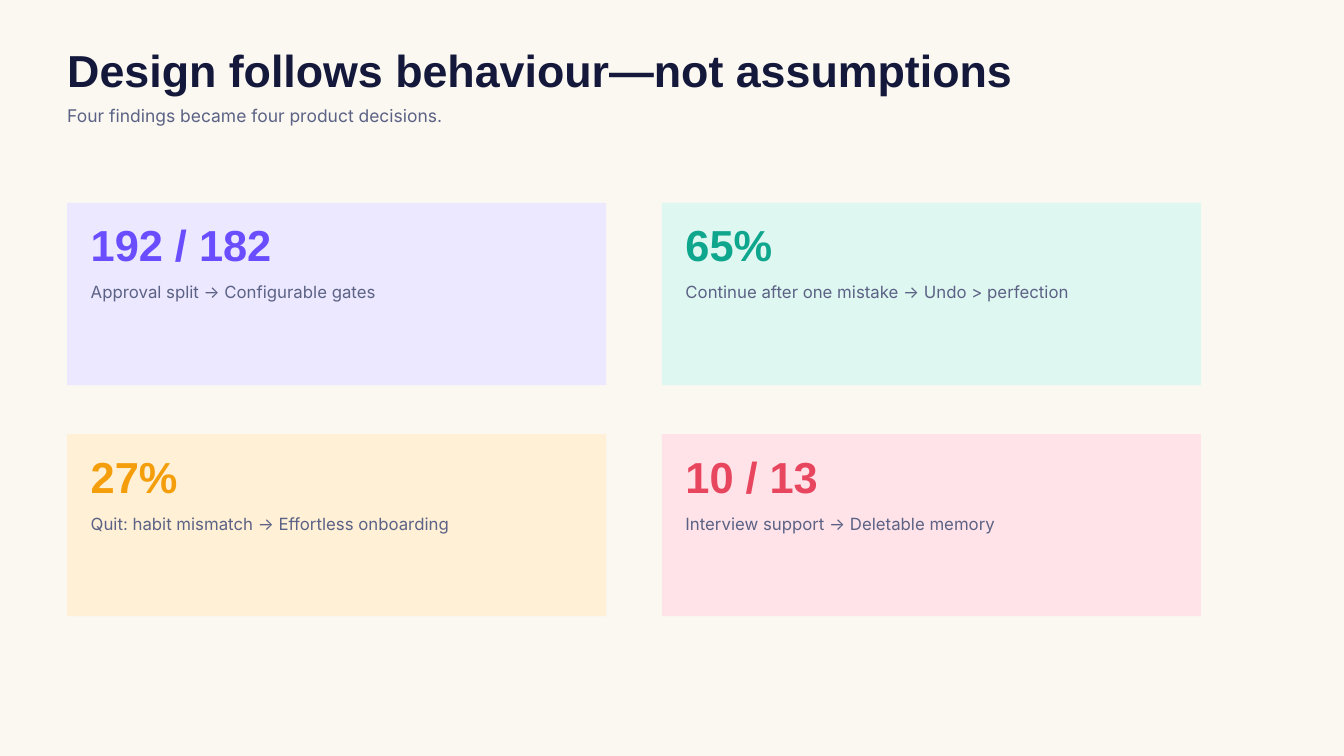
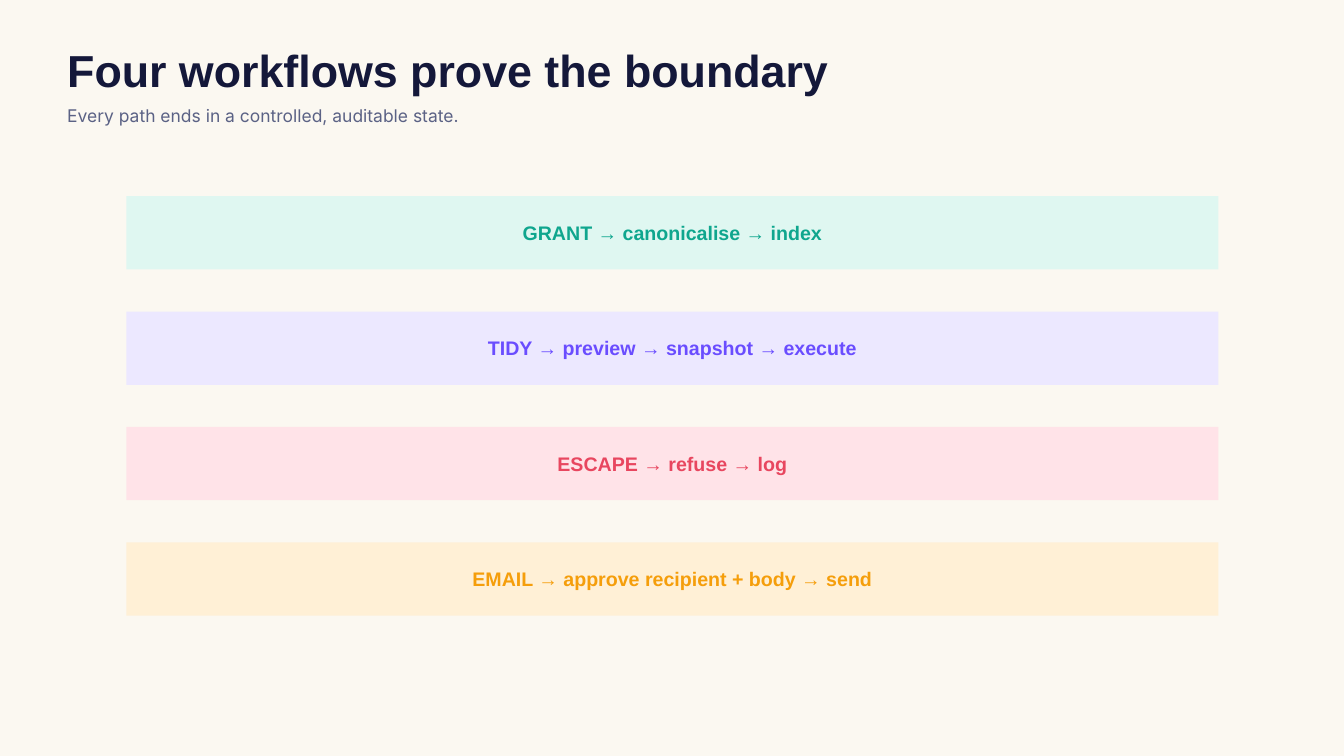
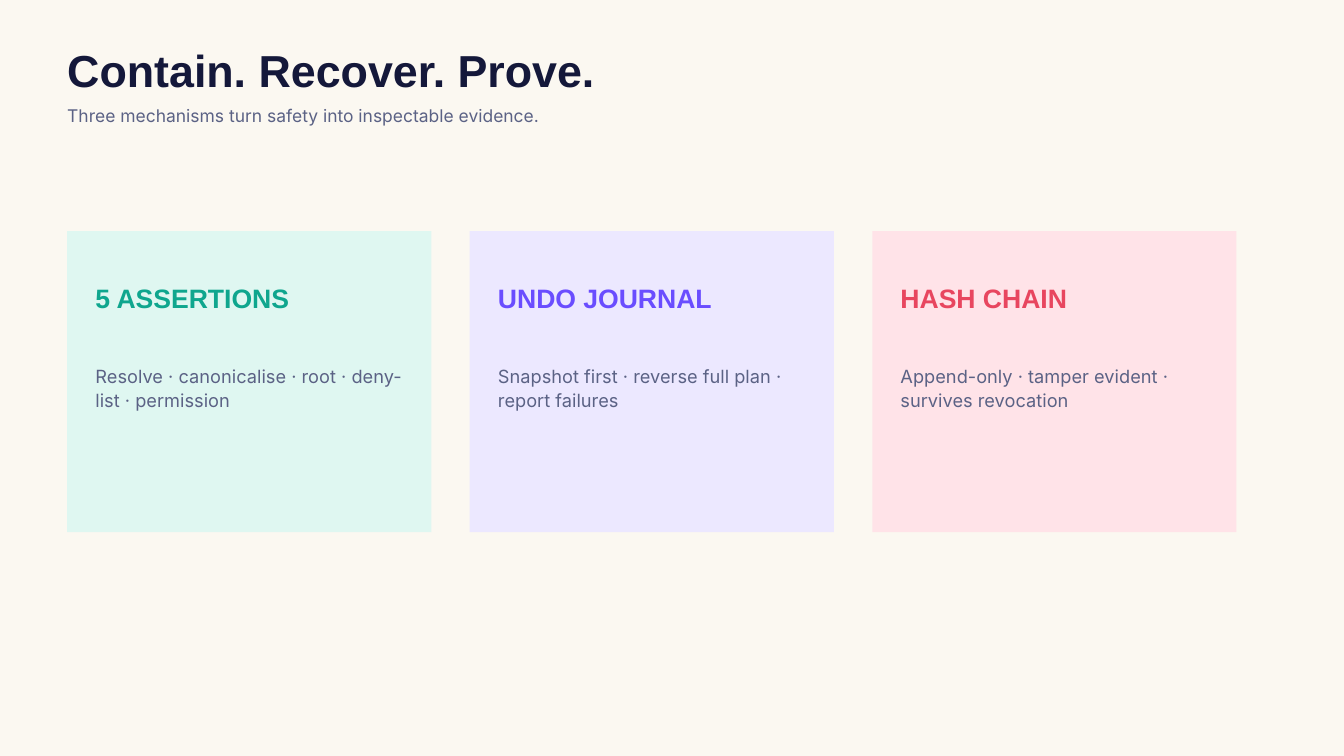
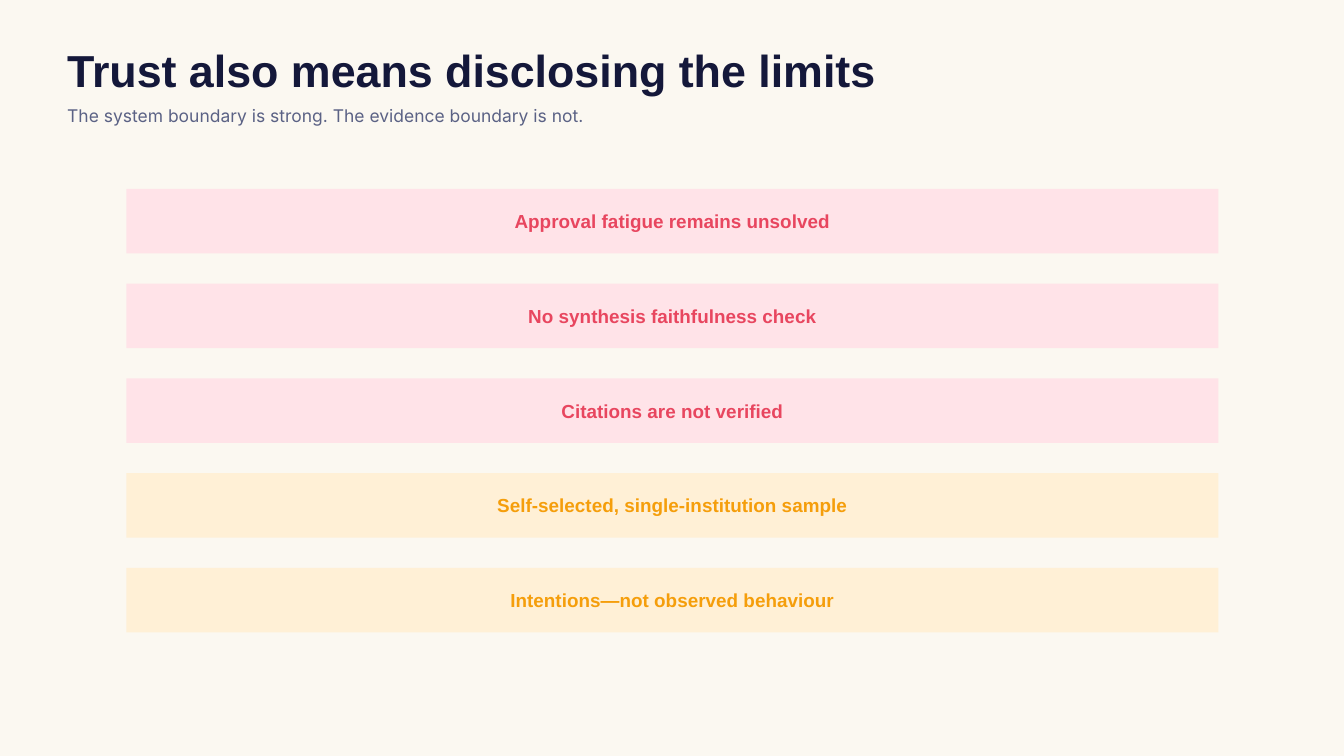
"""Build four slides on research findings, workflows, mechanisms and limits."""
import pptx
import pptx.util
import pptx.dml.color
import pptx.enum.shapes
import pptx.enum.text

Inches, Pt = pptx.util.Inches, pptx.util.Pt
ALIGN = pptx.enum.text.PP_ALIGN
ANCHOR = pptx.enum.text.MSO_ANCHOR
AUTO = pptx.enum.text.MSO_AUTO_SIZE
RECT = pptx.enum.shapes.MSO_SHAPE.RECTANGLE

PAPER, INK, SLATE = "FBF8F1", "14183A", "5B6285"
VIOLET = ("6A4DFF", "ECE8FF")
GREEN = ("0FA68E", "DFF7F1")
AMBER = ("F59E0B", "FFF0D6")
RED = ("E8465F", "FFE3E8")
HEAD = dict(font="Arial", bold=True, leading=1.05)
BODY = dict(font="Inter", color=SLATE, leading=1.35)


def paint(fmt, color):
    fmt.solid()
    fmt.fore_color.rgb = pptx.dml.color.RGBColor.from_string(color)


def write(tf, text, *, size, font, color, leading, bold=False, align=ALIGN.LEFT):
    p = tf.paragraphs[0]
    p.alignment = align
    p.line_spacing = Pt(size * leading)
    r = p.add_run()
    r.text = text
    r.font.name, r.font.size, r.font.bold = font, Pt(size), bold
    paint(r.font.fill, color)


class Deck:
    def __init__(self):
        self.prs = pptx.Presentation()
        self.prs.slide_width, self.prs.slide_height = Inches(20), Inches(11.25)
        self.s = None

    def slide(self, title, subtitle):
        self.s = self.prs.slides.add_slide(self.prs.slide_layouts[6])
        paint(self.s.background.fill, PAPER)
        self.text(self.s, 1, 0.73, 15.62, 0.82, title, size=48, color=INK, **HEAD)
        self.text(self.s, 1, 1.53, 15.62, 0.34, subtitle, size=18.75, **BODY)

    def text(self, parent, x, y, w, h, text, inset=0, anchor=ANCHOR.TOP,
             auto=AUTO.SHAPE_TO_FIT_TEXT, **style):
        sp = parent.shapes.add_textbox(Inches(x), Inches(y), Inches(w), Inches(h))
        tf = sp.text_frame
        tf.word_wrap, tf.auto_size, tf.vertical_anchor = True, auto, anchor
        tf.margin_left = tf.margin_right = Inches(inset)
        tf.margin_top = tf.margin_bottom = Inches(inset)
        write(tf, text, **style)

    def panel(self, x, y, w, h, fill):
        group = self.s.shapes.add_group_shape()
        sp = group.shapes.add_shape(RECT, Inches(x), Inches(y), Inches(w), Inches(h))
        sp.shadow.inherit = False
        paint(sp.fill, fill)
        sp.line.fill.background()
        return group

    def finding(self, x, y, figure, note, tone):
        color, fill = tone
        group = self.panel(x, y, 8.02, 2.71, fill)
        self.text(group, x + 0.35, y + 0.33, 7.31, 0.8, figure, size=46.5, color=color, **HEAD)
        self.text(group, x + 0.35, y + 1.14, 7.31, 0.32, note, size=18, **BODY)

    def mechanism(self, x, y, name, note, tone):
        color, fill = tone
        group = self.panel(x, y, 5.42, 4.48, fill)
        self.text(group, x + 0.42, y + 0.82, 4.58, 0.47, name, size=28.5, color=color, **HEAD)
        self.text(group, x + 0.42, y + 1.95, 4.58, 0.72, note, size=19.5, **BODY)

    def bars(self, top, pitch, height, rise, size, rows):
        for i, (label, (color, fill)) in enumerate(rows):
            y = top + i * pitch
            group = self.panel(1.88, y, 16.25, height, fill)
            self.text(group, 1.88, y - rise, 16.25, height + rise, label, inset=0.06,
                      anchor=ANCHOR.MIDDLE, auto=AUTO.NONE, size=size, font="Arial",
                      color=color, bold=True, leading=1.4, align=ALIGN.CENTER)


def main():
    deck = Deck()

    deck.slide("Design follows behaviour—not assumptions",
               "Four findings became four product decisions.")
    findings = [
        ("192 / 182", "Approval split → Configurable gates", VIOLET),
        ("65%", "Continue after one mistake → Undo > perfection", GREEN),
        ("27%", "Quit: habit mismatch → Effortless onboarding", AMBER),
        ("10 / 13", "Interview support → Deletable memory", RED),
    ]
    for i, finding in enumerate(findings):
        row, col = divmod(i, 2)
        deck.finding(1 + col * 8.85, 3.02 + row * 3.44, *finding)

    deck.slide("Four workflows prove the boundary",
               "Every path ends in a controlled, auditable state.")
    deck.bars(2.92, 1.717, 1.09, 0.07, 21, [
        ("GRANT → canonicalise → index", GREEN),
        ("TIDY → preview → snapshot → execute", VIOLET),
        ("ESCAPE → refuse → log", RED),
        ("EMAIL → approve recipient + body → send", AMBER),
    ])

    deck.slide("Contain. Recover. Prove.",
               "Three mechanisms turn safety into inspectable evidence.")
    mechanisms = [
        ("5 ASSERTIONS", "Resolve · canonicalise · root · deny-list · permission", GREEN),
        ("UNDO JOURNAL", "Snapshot first · reverse full plan · report failures", VIOLET),
        ("HASH CHAIN", "Append-only · tamper evident · survives revocation", RED),
    ]
    for i, mechanism in enumerate(mechanisms):
        deck.mechanism(1 + i * 5.99, 3.44, *mechanism)

    deck.slide("Trust also means disclosing the limits",
               "The system boundary is strong. The evidence boundary is not.")
    deck.bars(2.81, 1.41, 0.96, 0.06, 20.25, [
        ("Approval fatigue remains unsolved", RED),
        ("No synthesis faithfulness check", RED),
        ("Citations are not verified", RED),
        ("Self-selected, single-institution sample", AMBER),
        ("Intentions—not observed behaviour", AMBER),
    ])

    deck.prs.save("out.pptx")


if __name__ == "__main__":
    main()
